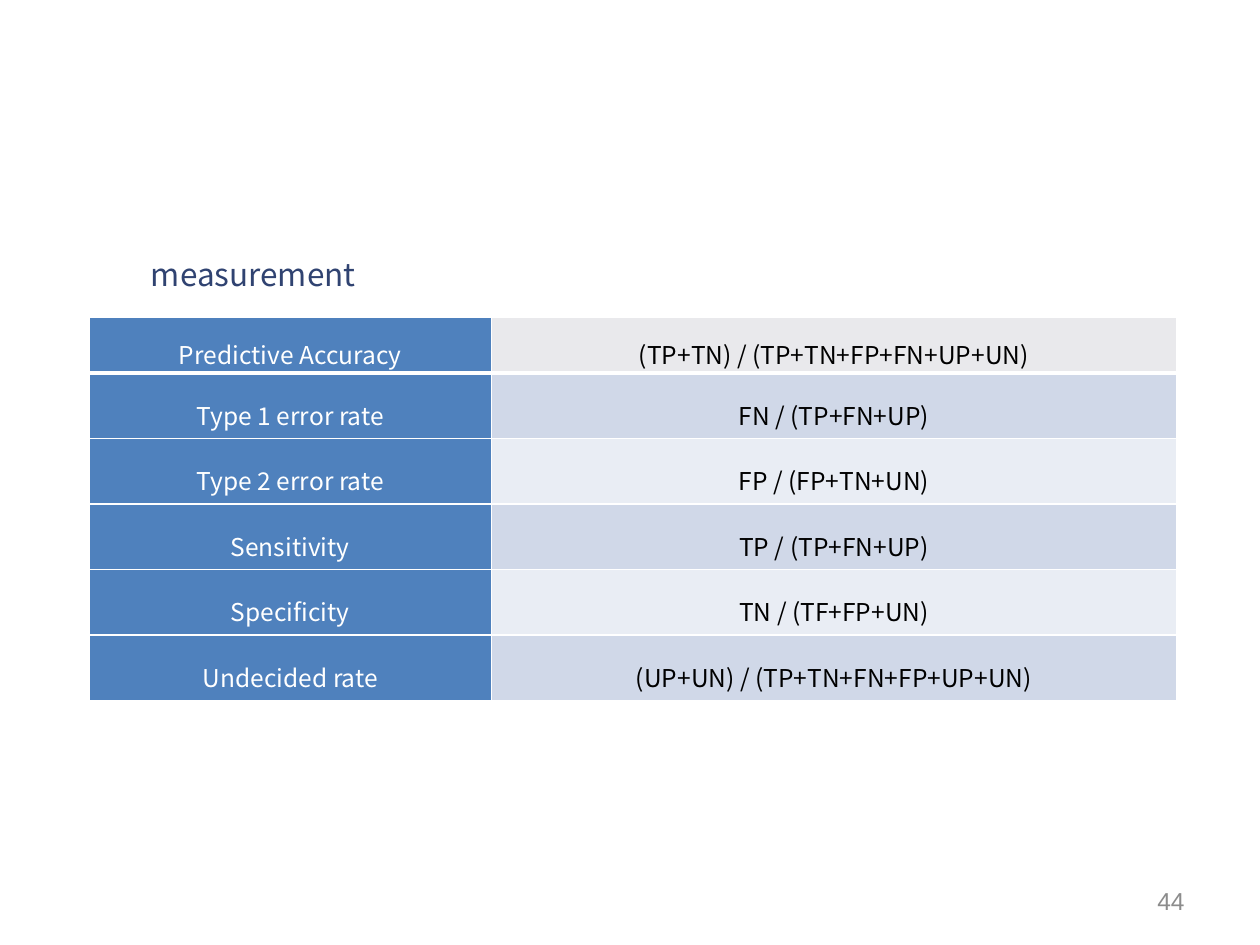
from dataclasses import dataclass

from lxml.etree import SubElement
from pptx import Presentation
from pptx.dml.color import RGBColor
from pptx.enum.text import MSO_ANCHOR, PP_ALIGN
from pptx.oxml.ns import qn
from pptx.util import Inches, Pt


@dataclass(frozen=True)
class Theme:
    font: str = "Noto Sans CJK TC"
    number_font: str = "Arial"
    heading_size: int = 18
    body_size: int = 14
    heading: str = "304371"
    number: str = "8C8C8C"
    label_fill: str = "4F81BD"
    label_text: str = "FFFFFF"
    formula_text: str = "000000"
    first_fill: str = "E9E9EC"
    bands: tuple = ("E9EDF4", "D0D8E8")
    border: str = "FFFFFF"


THEME = Theme()
WIDTH, HEIGHT = Inches(10), Inches(7.5)
COLUMNS = (3.19, 5.44)
FIRST_ROW, ROW = 0.44, 0.52
MEASURES = (
    ("Predictive Accuracy", "(TP+TN) / (TP+TN+FP+FN+UP+UN)"),
    ("Type 1 error rate", "FN / (TP+FN+UP)"),
    ("Type 2 error rate", "FP / (FP+TN+UN)"),
    ("Sensitivity", "TP / (TP+FN+UP)"),
    ("Specificity", "TN / (TF+FP+UN)"),
    ("Undecided rate", "(UP+UN) / (TP+TN+FN+FP+UP+UN)"),
)


def apply(obj, **values):
    for name, value in values.items():
        setattr(obj, name, value)


def write(tf, text, size, color, font=THEME.font, **paragraph):
    p = tf.paragraphs[0]
    apply(p, **paragraph)
    r = p.add_run()
    r.text = text
    apply(r.font, name=font, size=Pt(size))
    r.font.color.rgb = RGBColor.from_string(color)
    ea = SubElement(r.font._element, qn("a:ea"))
    ea.set("typeface", font)


def add_text(s, box, text, size, color, font=THEME.font,
             align=PP_ALIGN.LEFT, wrap=True):
    """Place text in a box given as shares of the slide: x, y, width, height."""
    x, y, w, h = box
    sp = s.shapes.add_textbox(int(x * WIDTH), int(y * HEIGHT),
                              int(w * WIDTH), int(h * HEIGHT))
    tf = sp.text_frame
    apply(tf, word_wrap=wrap, vertical_anchor=MSO_ANCHOR.MIDDLE)
    write(tf, text, size, color, font, alignment=align)


def set_borders(cell, **widths):
    """Draw the cell's edges, in points; they must come before its fill."""
    tc_pr = cell._tc.get_or_add_tcPr()
    for i, (side, width) in enumerate(widths.items()):
        ln = SubElement(tc_pr, qn(f"a:ln{side}"), w=str(Pt(width)))
        fill = SubElement(ln, qn("a:solidFill"))
        SubElement(fill, qn("a:srgbClr"), val=THEME.border)
        tc_pr.insert(i, ln)


def fill_cell(cell, text, color, fill, top, bottom):
    cell.fill.solid()
    cell.fill.fore_color.rgb = RGBColor.from_string(fill)
    apply(cell, vertical_anchor=MSO_ANCHOR.MIDDLE,
          margin_left=Inches(0.07), margin_right=Inches(0.07),
          margin_top=0, margin_bottom=0)
    write(cell.text_frame, text, THEME.body_size, color,
          alignment=PP_ALIGN.CENTER, line_spacing=1.5)
    set_borders(cell, L=1, R=1, T=top, B=bottom)


def add_measures(s, x, y):
    heights = [FIRST_ROW] + [ROW] * (len(MEASURES) - 1)
    frame = s.shapes.add_table(len(MEASURES), len(COLUMNS),
                               int(x * WIDTH), int(y * HEIGHT),
                               Inches(sum(COLUMNS)), Inches(sum(heights)))
    table = frame.table
    for column, width in zip(table.columns, COLUMNS):
        column.width = Inches(width)
    for i, (label, formula) in enumerate(MEASURES):
        table.rows[i].height = Inches(heights[i])
        band = THEME.bands[i % 2] if i else THEME.first_fill
        edges = (3 if i == 1 else 1, 1 if i else 3)
        fill_cell(table.cell(i, 0), label, THEME.label_text,
                  THEME.label_fill, *edges)
        fill_cell(table.cell(i, 1), formula, THEME.formula_text, band, *edges)


def main():
    prs = Presentation()
    apply(prs, slide_width=WIDTH, slide_height=HEIGHT)
    s = prs.slides.add_slide(prs.slide_layouts[6])
    add_text(s, (0.11, 0.263, 0.184, 0.053), "measurement",
             THEME.heading_size, THEME.heading, wrap=False)
    add_measures(s, 0.071, 0.336)
    add_text(s, (0.717, 0.927, 0.233, 0.053), "44", THEME.body_size,
             THEME.number, THEME.number_font, PP_ALIGN.RIGHT)
    prs.save("out.pptx")


if __name__ == "__main__":
    main()
